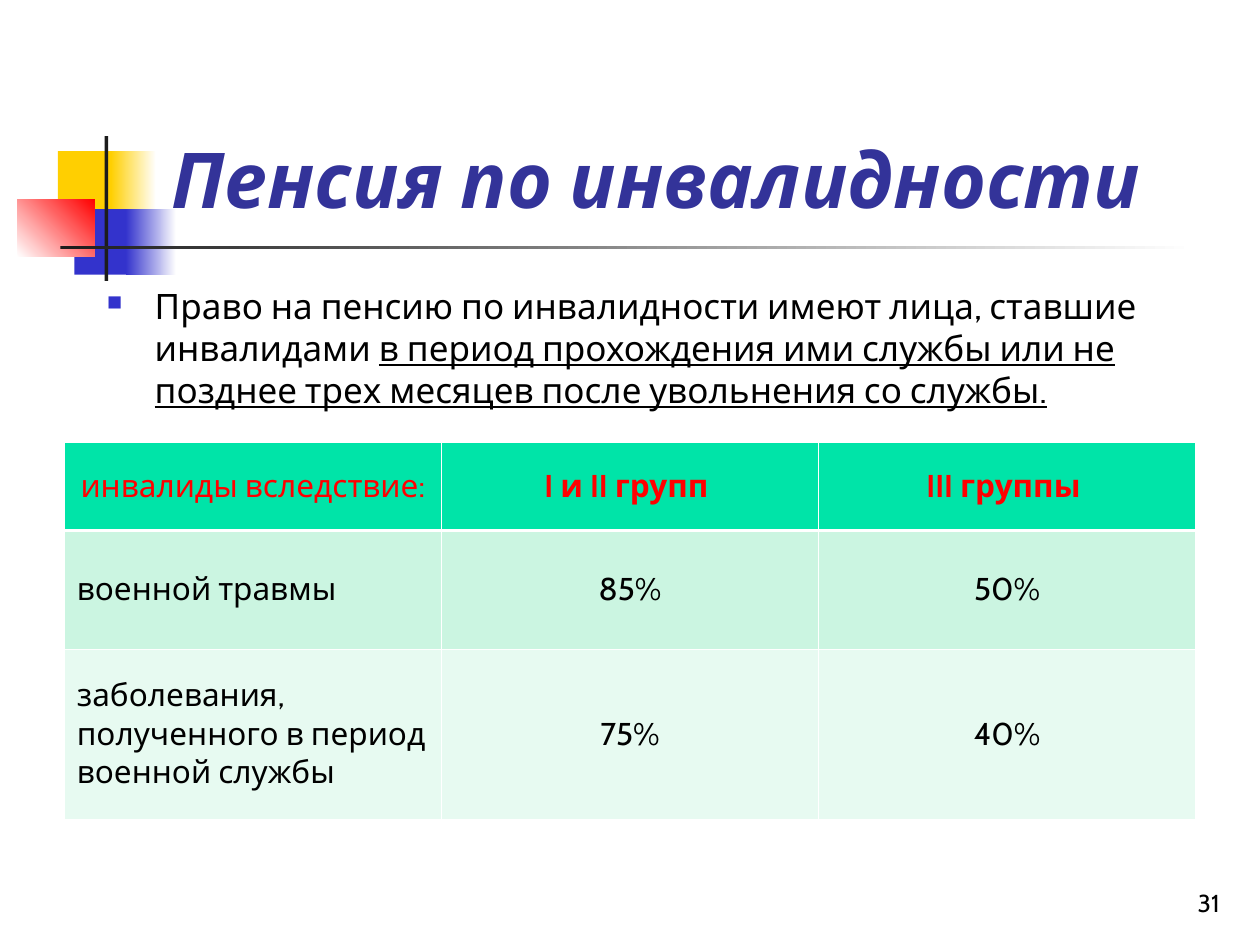
from lxml import etree
from pptx import Presentation
from pptx.dml.color import RGBColor
from pptx.enum.shapes import MSO_SHAPE
from pptx.enum.text import MSO_ANCHOR, PP_ALIGN
from pptx.oxml.ns import qn
from pptx.util import Inches, Pt

RECT = MSO_SHAPE.RECTANGLE
TOP, MIDDLE, BOTTOM = MSO_ANCHOR.TOP, MSO_ANCHOR.MIDDLE, MSO_ANCHOR.BOTTOM
LEFT, CENTER, RIGHT = PP_ALIGN.LEFT, PP_ALIGN.CENTER, PP_ALIGN.RIGHT

FONT = "Cabin"
C = {
    "white": "FFFFFF", "black": "000000", "yellow": "FFCF01", "blue": "3333CC",
    "red": "FF0000", "dark": "1C1C1C", "title": "333399",
    "header": "00E4A8", "band": "CBF5E1", "pale": "E7FAF1",
}

DECOR = [
    ((0.46, 1.2, 0.48, 0.52), ["yellow"], 0),
    ((0.88, 1.2, 0.36, 0.52), ["yellow", "white"], 0),
    ((0.59, 1.66, 0.46, 0.52), ["blue"], 0),
    ((1, 1.66, 0.4, 0.52), ["blue", "white"], 0),
    ((0.14, 1.58, 0.61, 0.46), ["white", "red"], 45),
    ((0.83, 1.08, 0.03, 1.15), ["dark"], 0),
    ((0.48, 1.95, 9, 0.03), ["dark", "white"], 0),
]

TITLE = "Пенсия по инвалидности"
RIGHT_TO_PENSION = [
    ("Право на пенсию по инвалидности имеют лица, ставшие инвалидами ", False),
    ("в период прохождения ими службы или не позднее трех месяцев "
     "после увольнения со службы.", True),
]
PAGE = "31"

TABLE_AT = (0.51, 3.51, 8.98, 2.99)
ROW_HEIGHTS = [0.7, 0.94, 1.35]
ROW_FILLS = ["header", "band", "pale"]
ROWS = [
    ["инвалиды вследствие:", "I и II групп ", "III группы "],
    ["военной травмы", "85%", "50%"],
    ["заболевания, полученного в период военной службы", "75%", "40%"],
]
THIN, THICK = 0.45, 1.47


def rgb(name):
    return RGBColor.from_string(C[name])


def box(at):
    return [Inches(v) for v in at]


def add_run(p, text, color="black", **formats):
    r = p.add_run()
    r.text = text
    r.font.color.rgb = rgb(color)
    for name, value in {"name": FONT, **formats}.items():
        setattr(r.font, name, value)


def add_text(s, at, anchor, align=LEFT):
    tf = s.shapes.add_textbox(*box(at)).text_frame
    tf.word_wrap = True
    tf.vertical_anchor = anchor
    p = tf.paragraphs[0]
    p.alignment = align
    return p


def add_bullet(p, char, color, percent, indent):
    pPr = p._p.get_or_add_pPr()
    pPr.set("marL", str(Inches(indent)))
    pPr.set("indent", str(-Inches(indent)))
    clr = etree.SubElement(pPr, qn("a:buClr"))
    etree.SubElement(clr, qn("a:srgbClr"), val=C[color])
    etree.SubElement(pPr, qn("a:buSzPct"), val=str(percent * 1000))
    etree.SubElement(pPr, qn("a:buChar"), char=char)


def add_borders(cell, widths):
    tcPr = cell._tc.get_or_add_tcPr()
    for side, width in widths.items():
        ln = etree.SubElement(tcPr, qn("a:ln" + side), w=str(Pt(width)))
        fill = etree.SubElement(ln, qn("a:solidFill"))
        etree.SubElement(fill, qn("a:srgbClr"), val=C["white"])


def add_decor(s):
    for at, colors, angle in DECOR:
        shape = s.shapes.add_shape(RECT, *box(at))
        shape.shadow.inherit = False
        shape.line.fill.background()
        if len(colors) == 1:
            shape.fill.solid()
            shape.fill.fore_color.rgb = rgb(colors[0])
            continue
        shape.fill.gradient()
        shape.fill.gradient_angle = angle
        for stop, color in zip(shape.fill.gradient_stops, colors):
            stop.color.rgb = rgb(color)


def add_pension_table(s):
    table = s.shapes.add_table(len(ROWS), len(ROWS[0]), *box(TABLE_AT)).table
    table.first_row = table.horz_banding = False
    for row, height in zip(table.rows, ROW_HEIGHTS):
        row.height = Inches(height)
    for i, texts in enumerate(ROWS):
        for j, text in enumerate(texts):
            cell = table.cell(i, j)
            add_borders(cell, {"L": THIN, "R": THIN,
                               "T": THICK if i == 1 else THIN,
                               "B": THICK if i == 0 else THIN})
            cell.fill.solid()
            cell.fill.fore_color.rgb = rgb(ROW_FILLS[i])
            cell.vertical_anchor = MIDDLE
            p = cell.text_frame.paragraphs[0]
            p.alignment = LEFT if i and not j else CENTER
            add_run(p, text, "black" if i else "red",
                    size=Pt(18), bold=i == 0 and j > 0)


def main():
    prs = Presentation()
    prs.slide_width, prs.slide_height = Inches(10), Inches(7.5)
    s = prs.slides.add_slide(prs.slide_layouts[6])
    add_decor(s)

    p = add_text(s, (1.26, 0.23, 8.52, 1.6), BOTTOM)
    add_run(p, TITLE, "title", size=Pt(44), bold=True, italic=True)

    p = add_text(s, (0.75, 2.21, 9.04, 4.5), TOP)
    add_bullet(p, "■", "blue", 60, 0.38)
    for text, underline in RIGHT_TO_PENSION:
        add_run(p, text, size=Pt(20), underline=underline)

    p = add_text(s, (7.7, 6.83, 2.08, 0.5), BOTTOM, RIGHT)
    add_run(p, PAGE, size=Pt(14))

    add_pension_table(s)
    prs.save("out.pptx")


if __name__ == "__main__":
    main()
